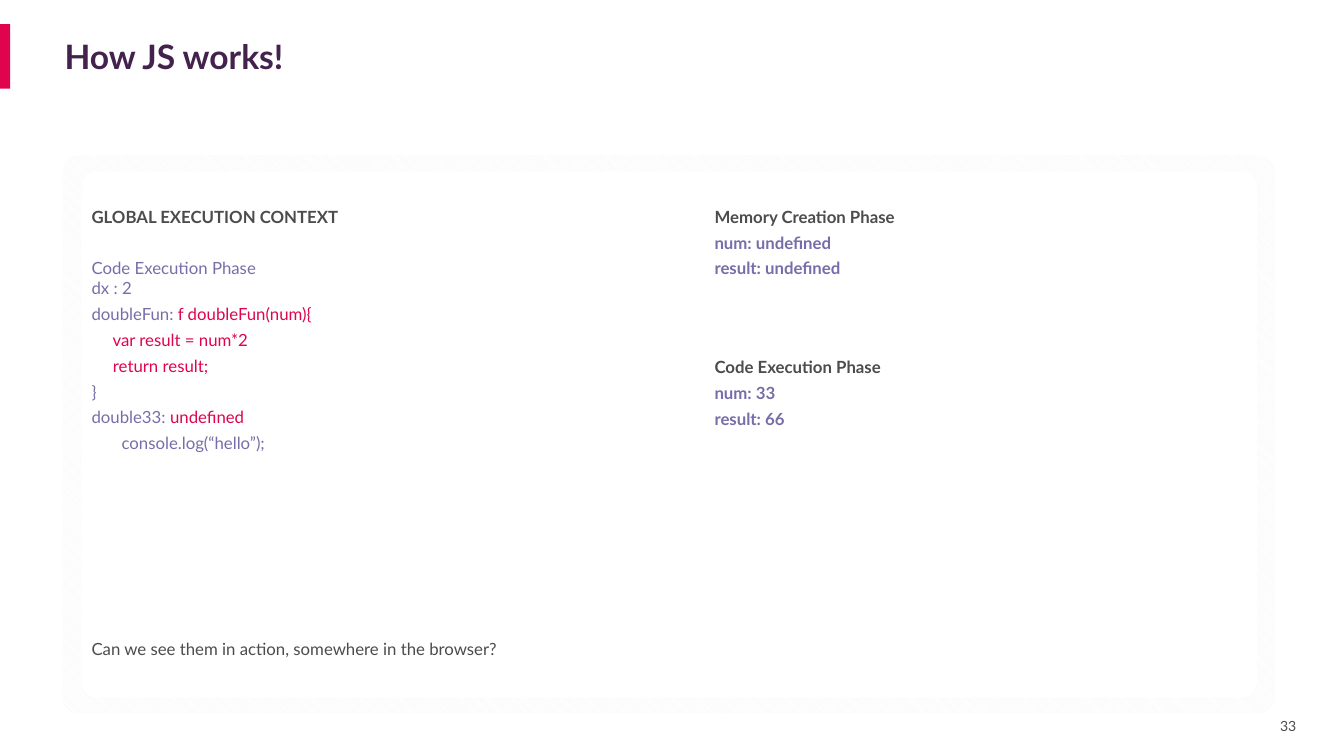
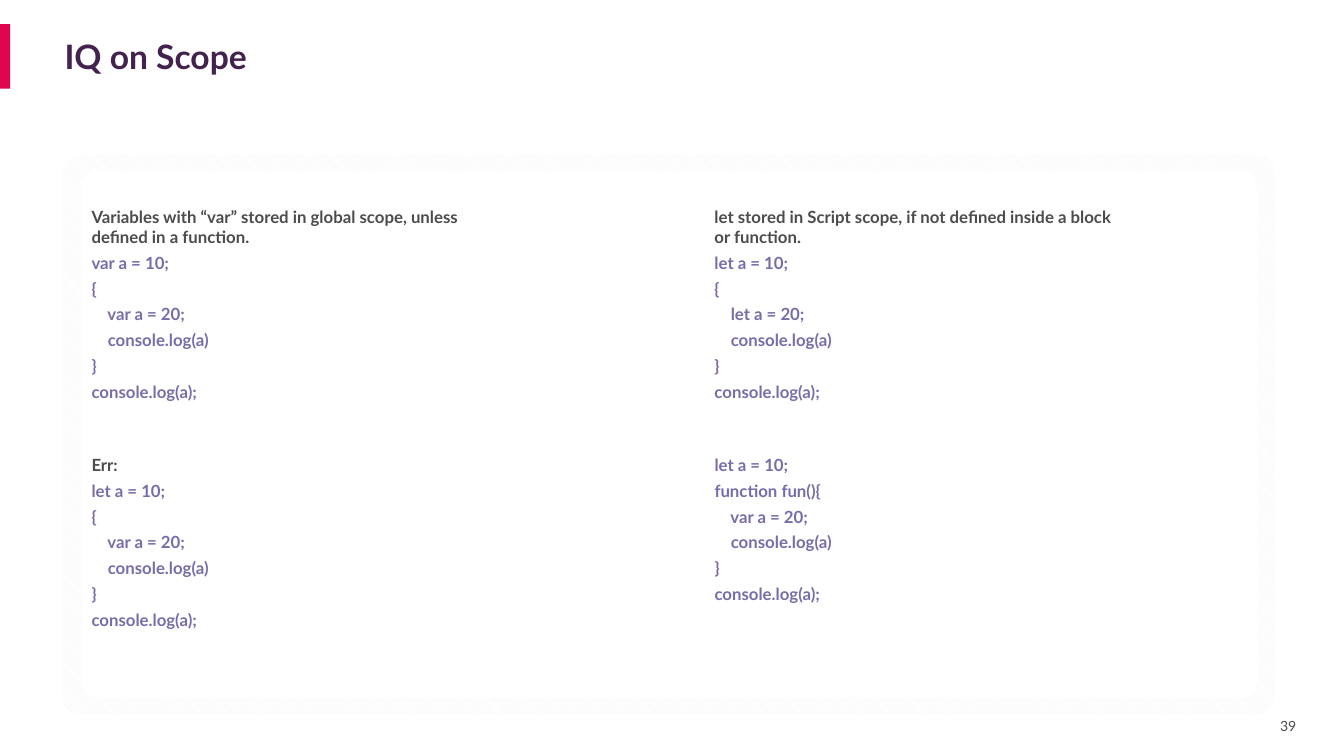
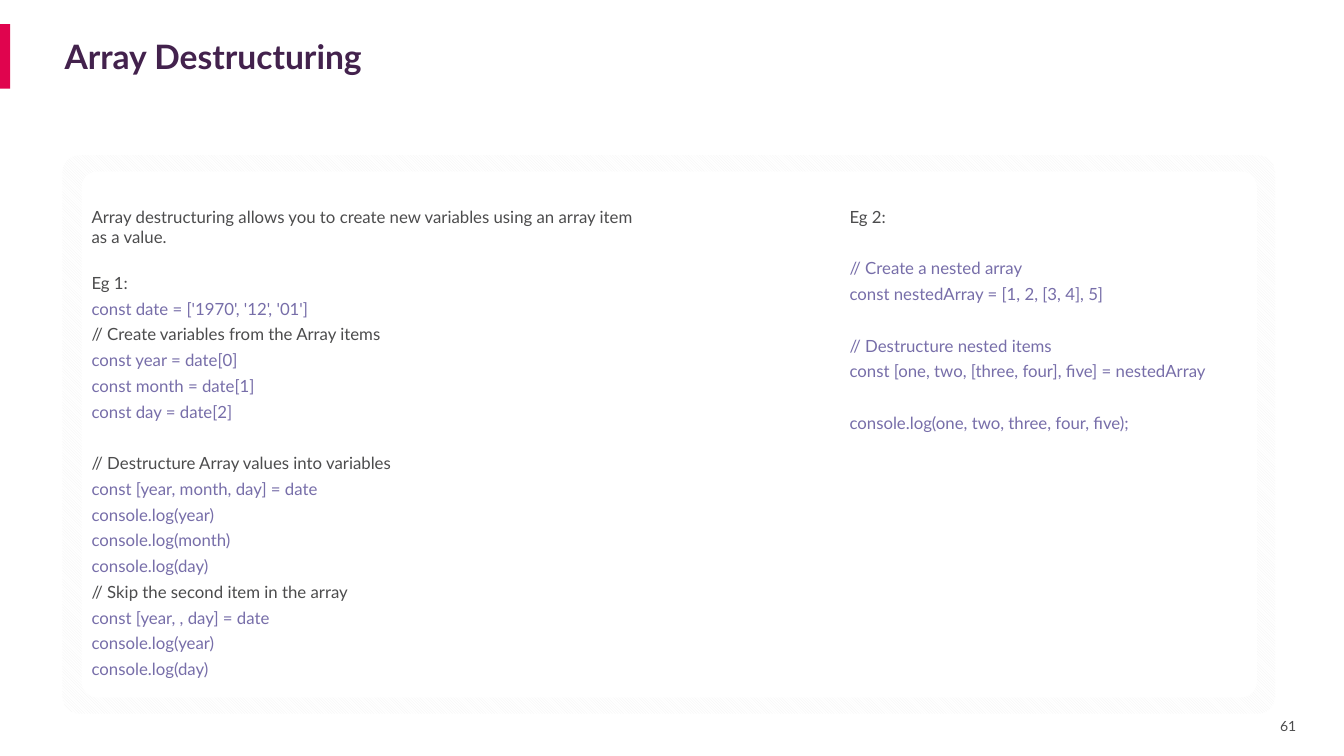
from dataclasses import dataclass

from pptx import Presentation
from pptx.dml.color import RGBColor
from pptx.enum.dml import MSO_PATTERN
from pptx.enum.shapes import MSO_SHAPE
from pptx.enum.text import MSO_ANCHOR, MSO_AUTO_SIZE, PP_ALIGN
from pptx.util import Pt

COLORS = {
    "accent": "E0044E",
    "title": "43224D",
    "text": "4C4C4D",
    "code": "776EA9",
    "stripe": "F2F2F2",
    "white": "FFFFFF",
}
FONT = "Lato"

# Text grid, in points
LEFT, RIGHT, TOP = 58.32, 503.28, 144
LINE_GAP = 4
LINE_PITCH = 18.4
SKIP = LINE_GAP + LINE_PITCH  # leaves one line free


@dataclass
class Line:
    text: str
    color: str = "code"
    bold: bool = False
    before: float = LINE_GAP
    tail: str = ""  # accent-coloured end of the line


@dataclass
class Block:
    x: float
    y: float
    w: float
    h: float
    lines: list[Line]


@dataclass
class Page:
    title: str
    number: int
    blocks: list[Block]


def rgb(name: str) -> RGBColor:
    return RGBColor.from_string(COLORS[name])


def add_run(p, text: str, *, size: float = 12, color: str = "text", bold: bool = False) -> None:
    r = p.add_run()
    r.text = text
    r.font.name = FONT
    r.font.size = Pt(size)
    r.font.bold = bold
    r.font.color.rgb = rgb(color)


def add_box(s, x: float, y: float, w: float, h: float):
    tf = s.shapes.add_textbox(Pt(x), Pt(y), Pt(w), Pt(h)).text_frame
    tf.word_wrap = True
    return tf


def add_panel(s, kind, x: float, y: float, w: float, h: float, color: str = "white"):
    sp = s.shapes.add_shape(kind, Pt(x), Pt(y), Pt(w), Pt(h))
    sp.shadow.inherit = False
    sp.line.fill.background()
    sp.fill.solid()
    sp.fill.fore_color.rgb = rgb(color)
    if kind == MSO_SHAPE.ROUNDED_RECTANGLE:
        sp.adjustments[0] = 0.03
    return sp


def add_title(s, text: str) -> None:
    sp = s.shapes.title
    sp.left, sp.top, sp.width, sp.height = Pt(46.08), Pt(17.28), Pt(864.72), Pt(46.08)
    tf = sp.text_frame
    tf.auto_size = MSO_AUTO_SIZE.NONE
    tf.vertical_anchor = MSO_ANCHOR.MIDDLE
    tf.margin_left = tf.margin_right = 0
    p = tf.paragraphs[0]
    p.alignment = PP_ALIGN.LEFT
    add_run(p, text, size=24, color="title", bold=True)


def add_frame(s, number: int) -> None:
    # Accent band
    add_panel(s, MSO_SHAPE.RECTANGLE, 0, 17.28, 7.2, 46.08, "accent")
    # Page number
    tf = add_box(s, 905.04, 509.76, 30.24, 18)
    tf.vertical_anchor = MSO_ANCHOR.MIDDLE
    p = tf.paragraphs[0]
    p.alignment = PP_ALIGN.CENTER
    add_run(p, str(number), size=10)
    # Striped panel with a white inside
    sp = add_panel(s, MSO_SHAPE.ROUNDED_RECTANGLE, 44.64, 110.88, 866.16, 398.88)
    sp.fill.patterned()
    sp.fill.pattern = MSO_PATTERN.LIGHT_DOWNWARD_DIAGONAL
    sp.fill.fore_color.rgb = rgb("stripe")
    sp.fill.back_color.rgb = rgb("white")
    add_panel(s, MSO_SHAPE.ROUNDED_RECTANGLE, LEFT, 122.4, 839.52, 375.84)


def add_block(s, block: Block) -> None:
    tf = add_box(s, block.x, block.y, block.w, block.h)
    for i, line in enumerate(block.lines):
        p = tf.add_paragraph() if i else tf.paragraphs[0]
        p.space_before = Pt(line.before if i else 0)
        if line.text:
            add_run(p, line.text, color=line.color, bold=line.bold)
        if line.tail:
            add_run(p, line.tail, color="accent", bold=line.bold)


def add_page(prs, page: Page) -> None:
    s = prs.slides.add_slide(prs.slide_layouts[5])
    add_frame(s, page.number)
    add_title(s, page.title)
    for block in page.blocks:
        add_block(s, block)


def head(text: str) -> Line:
    return Line(text, "text", bold=True)


def note(text: str, before: float = LINE_GAP) -> Line:
    return Line(text, "text", before=before)


def code(*texts: str, bold: bool = False) -> list[Line]:
    return [Line(text, bold=bold) for text in texts]


def scope_code(outer: str, inner: str, opening: str = "{") -> list[Line]:
    return code(f"{outer} a = 10;", opening, f"    {inner} a = 20;",
                "    console.log(a)", "}", "console.log(a);", bold=True)


PAGES = [
    Page("How JS works!", 33, [
        Block(LEFT, TOP, 309.6, 185, [
            head("GLOBAL EXECUTION CONTEXT"),
            Line("Code Execution Phase", before=SKIP),
            Line("dx : 2", before=0),
            Line("doubleFun: ", tail="f doubleFun(num){"),
            Line("", tail="     var result = num*2"),
            Line("", tail="     return result;"),
            Line("}"),
            Line("double33: ", tail="undefined"),
            Line("       console.log(“hello”);"),
        ]),
        Block(RIGHT, TOP, 226, 59, [
            head("Memory Creation Phase"),
            *code("num: undefined", "result: undefined", bold=True),
        ]),
        Block(RIGHT, 251.6, 226, 59, [
            head("Code Execution Phase"),
            *code("num: 33", "result: 66", bold=True),
        ]),
        Block(LEFT, 453, 803.5, 21.6, [
            note("Can we see them in action, somewhere in the browser?"),
        ]),
    ]),
    Page("IQ on Scope", 39, [
        Block(LEFT, TOP, 309.6, 147.6, [
            head("Variables with “var” stored in global scope, unless defined in a function."),
            *scope_code("var", "var"),
        ]),
        Block(RIGHT, TOP, 309.6, 147.6, [
            head("let stored in Script scope, if not defined inside a block or function."),
            *scope_code("let", "let"),
        ]),
        Block(LEFT, 321.4, 309.6, 152, [head("Err:"), *scope_code("let", "var")]),
        Block(RIGHT, 321.4, 353.5, 114.5, scope_code("let", "var", "function fun(){")),
    ]),
    Page("Array Destructuring", 61, [
        Block(LEFT, TOP, 406.8, 348.5, [
            note("Array destructuring allows you to create new variables "
                 "using an array item as a value."),
            note("Eg 1:", before=LINE_PITCH),
            *code("const date = ['1970', '12', '01']"),
            note("// Create variables from the Array items"),
            *code("const year = date[0]", "const month = date[1]", "const day = date[2]"),
            note("// Destructure Array values into variables", before=SKIP),
            *code("const [year, month, day] = date", "console.log(year)",
                  "console.log(month)", "console.log(day)"),
            note("// Skip the second item in the array"),
            *code("const [year, , day] = date", "console.log(year)", "console.log(day)"),
        ]),
        Block(599.76, TOP, 280.8, 170.6, [
            note("Eg 2:"),
            Line("// Create a nested array", before=SKIP),
            Line("const nestedArray = [1, 2, [3, 4], 5]"),
            Line("// Destructure nested items", before=SKIP),
            Line("const [one, two, [three, four], five] = nestedArray"),
            Line("console.log(one, two, three, four, five);", before=SKIP),
        ]),
    ]),
]


def main() -> None:
    prs = Presentation()
    prs.slide_width, prs.slide_height = Pt(960), Pt(540)
    for page in PAGES:
        add_page(prs, page)
    prs.save("out.pptx")


if __name__ == "__main__":
    main()
